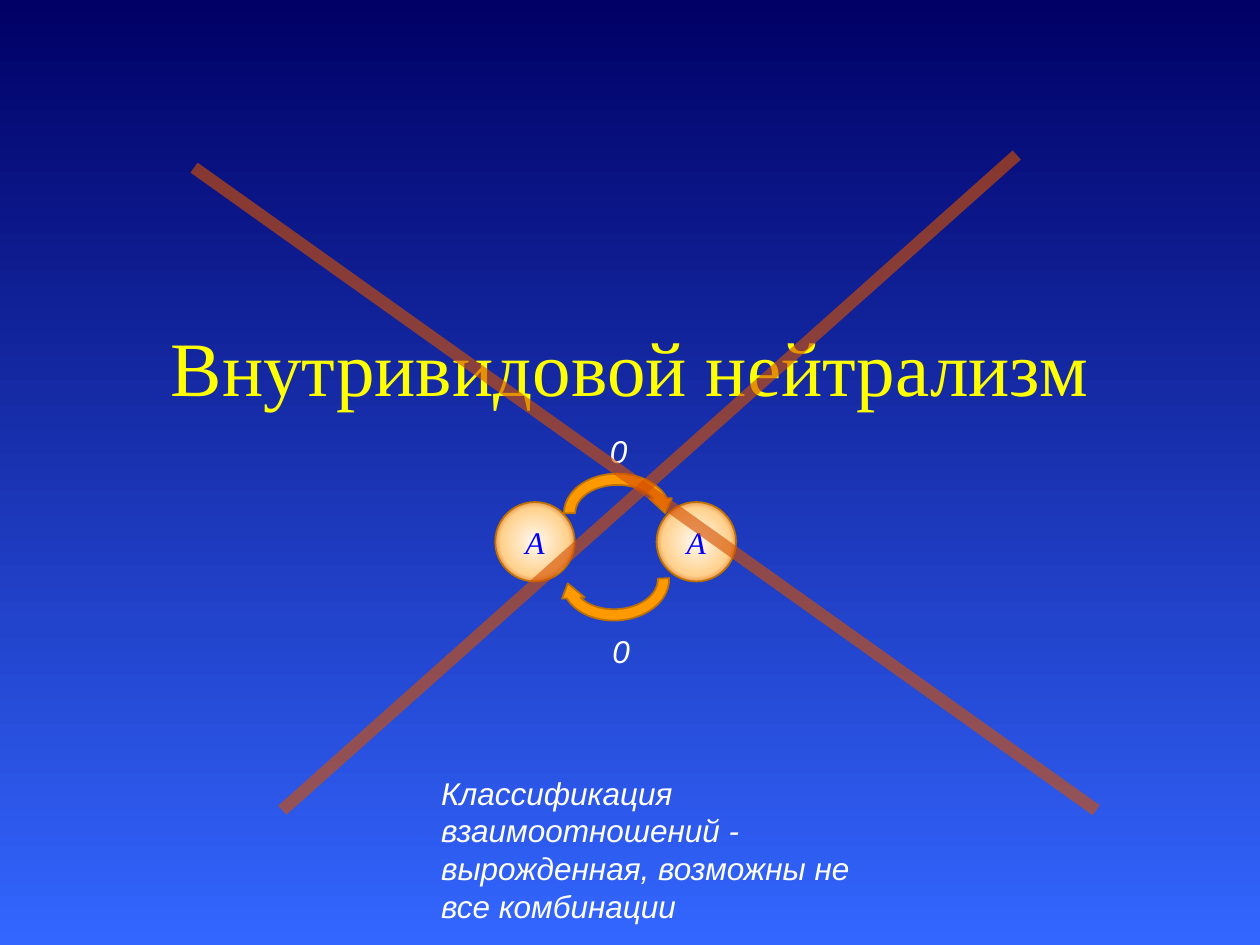
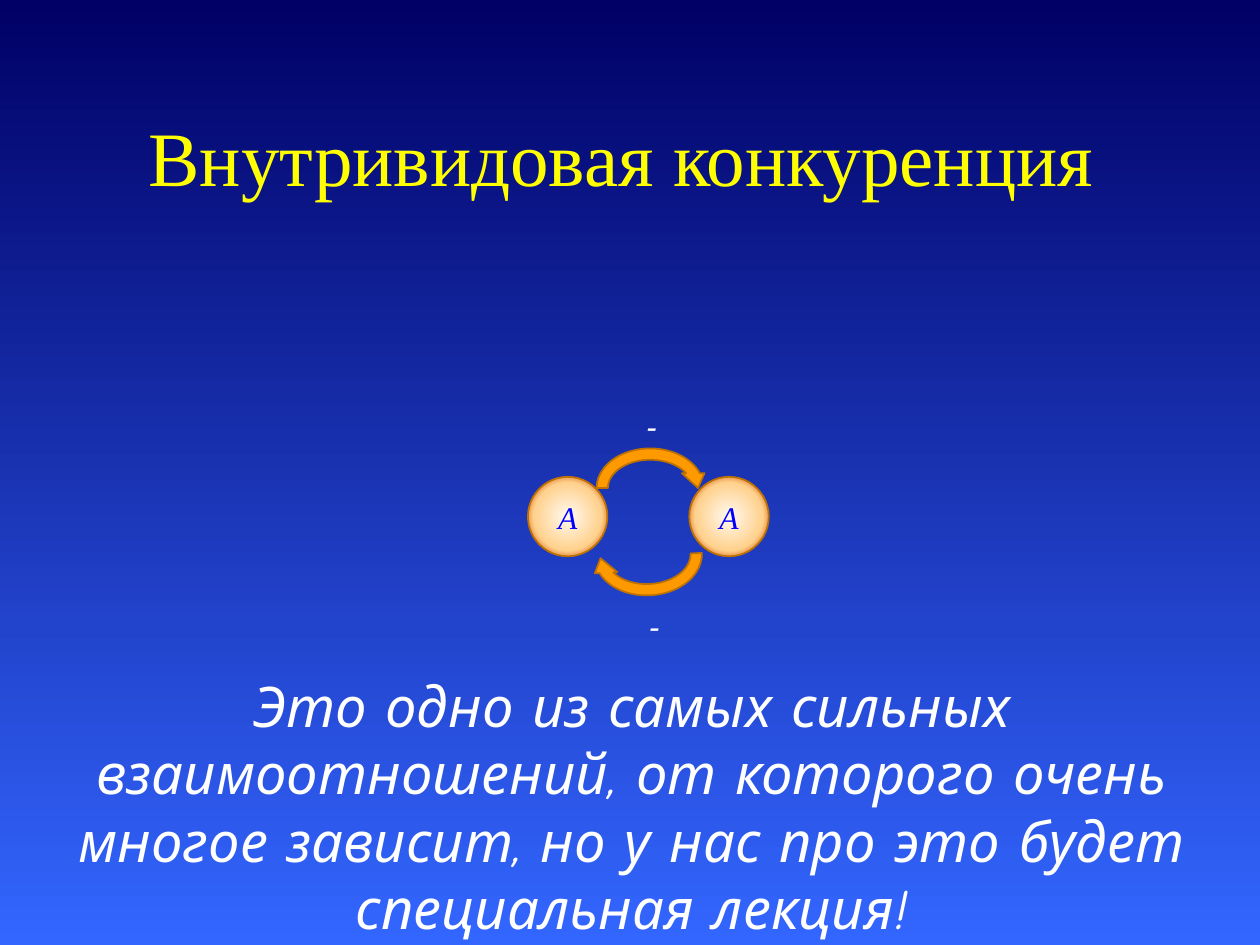
from lxml import etree
from pptx import Presentation
from pptx.dml.color import RGBColor
from pptx.enum.shapes import MSO_CONNECTOR, MSO_SHAPE
from pptx.enum.text import MSO_ANCHOR, MSO_AUTO_SIZE, PP_ALIGN
from pptx.oxml.ns import qn
from pptx.util import Pt

OVAL, ARROW = MSO_SHAPE.OVAL, MSO_SHAPE.CIRCULAR_ARROW
STRAIGHT = MSO_CONNECTOR.STRAIGHT
LEFT, CENTER = PP_ALIGN.LEFT, PP_ALIGN.CENTER
TOP, MIDDLE = MSO_ANCHOR.TOP, MSO_ANCHOR.MIDDLE
FIXED = MSO_AUTO_SIZE.NONE

HEX = {
    "night": "000066", "sky": "3366FF", "title": "FFFF00", "text": "FFFFFF",
    "letter": "0000FF", "arrow": "FF9900", "edge": "BD7100", "cross": "D45000",
}
BALL = ((0, "FFFAF2"), (61, "FFD18C"), (84, "D45000"), (100, "FFE0B2"))
SERIF, SANS, COMIC = "Times New Roman", "Arial", "Comic Neue"


def color(name):
    return RGBColor.from_string(HEX[name])


def box(x, y, wide, high):
    return Pt(x), Pt(y), Pt(wide), Pt(high)


def write(shape, text, font=SANS, size=18, ink="text", italic=True,
          align=CENTER, anchor=TOP):
    frame = shape.text_frame
    frame.word_wrap = True
    frame.auto_size = FIXED
    frame.vertical_anchor = anchor
    para = frame.paragraphs[0]
    para.alignment = align
    run = para.add_run()
    run.text = text
    run.font.name = font
    run.font.size = Pt(size)
    run.font.italic = italic
    run.font.color.rgb = color(ink)


class Deck:
    def __init__(self):
        self.file = Presentation()
        self.file.slide_width = Pt(720)
        self.file.slide_height = Pt(540)
        self.slide = None
        fill = self.file.slide_master.background.fill
        fill.gradient()
        fill.gradient_angle = 270
        for stop, name in zip(fill.gradient_stops, ("night", "sky")):
            stop.color.rgb = color(name)

    def page(self, title, x, y):
        self.slide = self.file.slides.add_slide(self.file.slide_layouts[5])
        head = self.slide.shapes.title
        head.left, head.top, head.width, head.height = box(x, y, 612, 90)
        write(head, title, font=SERIF, size=44, ink="title", italic=False,
              anchor=MIDDLE)

    def text(self, text, x, y, wide, high, home=None, **style):
        home = home or self.slide
        write(home.shapes.add_textbox(*box(x, y, wide, high)), text, **style)

    def shape(self, home, kind, x, y, wide, high):
        shape = home.shapes.add_shape(kind, *box(x, y, wide, high))
        shape.shadow.inherit = False
        shape.fill.solid()
        shape.fill.fore_color.rgb = color("arrow")
        shape.line.color.rgb = color("edge")
        shape.line.width = Pt(1)
        return shape

    def ball(self, home, x, y):
        ball = self.shape(home, OVAL, x, y, 45.4, 45.4)
        ball.fill.gradient()
        grad = ball.element.spPr.find(qn("a:gradFill"))
        for child in list(grad):
            grad.remove(child)
        stops = etree.SubElement(grad, qn("a:gsLst"))
        for spot, tone in BALL:
            stop = etree.SubElement(stops, qn("a:gs"), pos=str(spot * 1000))
            etree.SubElement(stop, qn("a:srgbClr"), val=tone)
        ring = etree.SubElement(grad, qn("a:path"), {"path": "circle"})
        sides = dict.fromkeys("ltrb", "50000")
        etree.SubElement(ring, qn("a:fillToRect"), sides)
        write(ball, "A", font=SERIF, ink="letter", anchor=MIDDLE)

    def pair(self, sign, x, y):
        group = self.slide.shapes.add_group_shape()
        for step in (0, 92.2):
            self.ball(group, x + step, y + 43.5)
        for dx, dy, turn in ((36, 24, 0), (34.9, 62.6, 177)):
            arrow = self.shape(group, ARROW, x + dx, y + dy, 67.7, 51.8)
            arrow.rotation = turn
        for dx, dy in ((49.7, 114.5), (48.2, 0)):
            self.text(sign, x + dx, y + dy, 44.6, 28.8, home=group)

    def stroke(self, *ends):
        line = self.slide.shapes.add_connector(STRAIGHT, *map(Pt, ends))
        line.line.color.rgb = color("cross")
        line.line.width = Pt(7)
        spec = line.element.spPr
        tone = next(spec.iter(qn("a:srgbClr")))
        etree.SubElement(tone, qn("a:alpha"), val="61000")
        etree.SubElement(spec, qn("a:effectLst"))


def main():
    deck = Deck()

    deck.page("Внутривидовой нейтрализм", 54, 164)
    deck.pair("0", 283, 243.4)
    deck.stroke(110.9, 95.8, 626.4, 463)
    deck.stroke(161.3, 463, 581, 88.6)
    deck.text("Классификация взаимоотношений - вырожденная, "
              "возможны не все комбинации", 245, 438.5, 262, 94.3, align=LEFT)

    deck.page("Внутривидовая конкуренция", 49, 44)
    deck.pair("-", 301.7, 229)
    deck.text("Это одно из самых сильных взаимоотношений, от которого очень "
              "многое зависит, но у нас про это будет специальная лекция!",
              8, 380.2, 706.3, 162, font=COMIC, size=32)

    deck.file.save("out.pptx")


if __name__ == "__main__":
    main()
